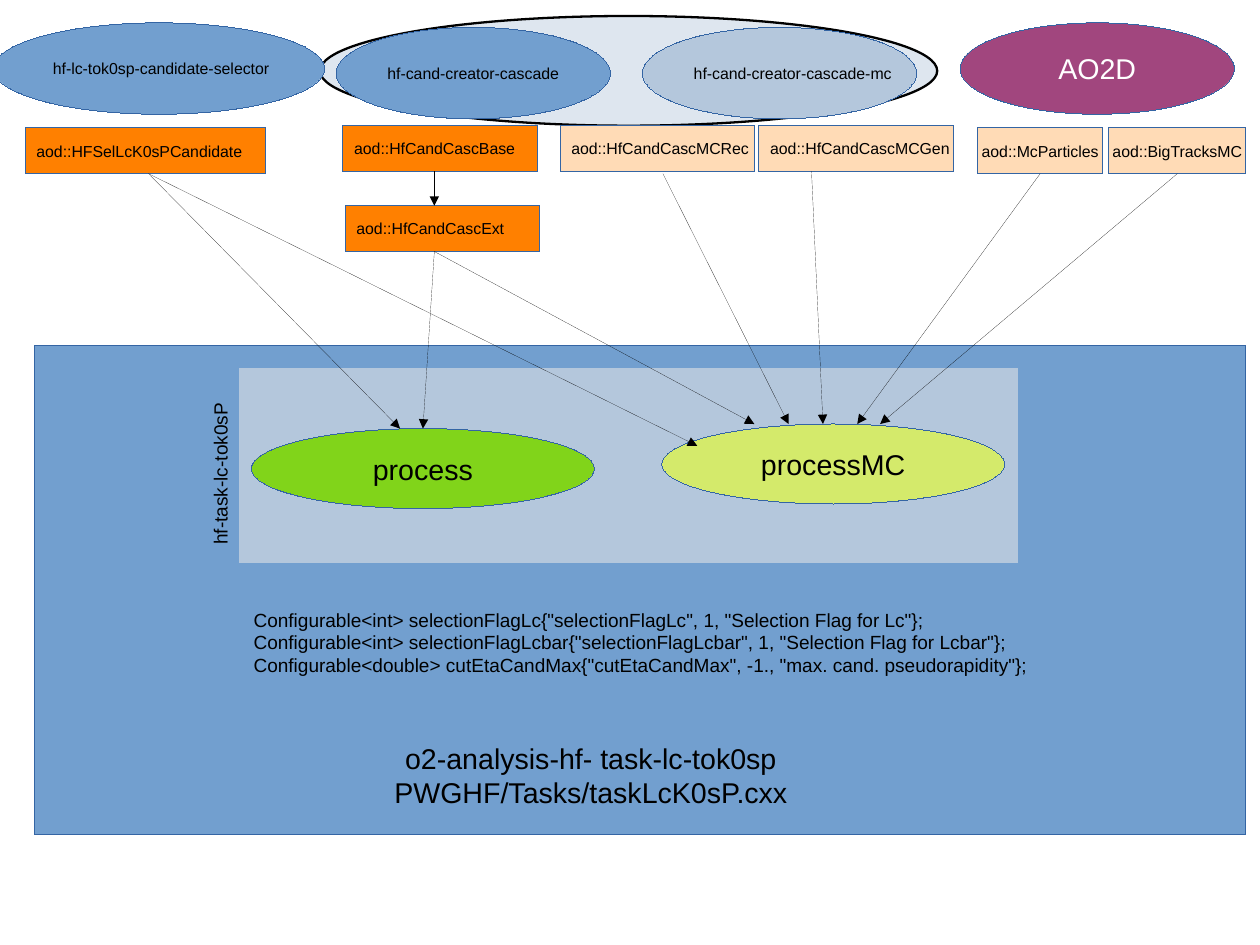
from pptx import Presentation
from pptx import util as u
from pptx.dml.color import RGBColor
from pptx.enum import shapes, text
from lxml import etree

THEME = {
    "font": "Arial",
    "small": 10, "body": 12, "large": 18,
    "black": "000000", "white": "FFFFFF", "outline": "3465A4",
    "blue": "729FCF", "mist": "DEE6EF", "steel": "B4C7DC",
    "orange": "FF8000", "peach": "FFDBB6", "plum": "A1467E",
    "green": "81D41A", "lime": "D4EA6B",
}
A = "{http://schemas.openxmlformats.org/drawingml/2006/main}"
RECT, OVAL = shapes.MSO_SHAPE.RECTANGLE, shapes.MSO_SHAPE.OVAL
LEFT, CENTER = text.PP_ALIGN.LEFT, text.PP_ALIGN.CENTER


def write(sp, lines, size, align, ink="black", wrap=False):
    tf = sp.text_frame
    tf.word_wrap = wrap
    tf.text = "\n".join(lines)
    for p in tf.paragraphs:
        p.alignment = align
        p.font.name = THEME["font"]
        p.font.size = u.Pt(THEME[size])
        p.font.color.rgb = RGBColor.from_string(THEME[ink])


def outline(sp, ink, width=0):
    sp.line.color.rgb = RGBColor.from_string(THEME[ink])
    ln = sp._element.spPr.find(A + "ln")
    ln.set("w", str(int(u.Pt(width))))
    return ln


prs = Presentation()
prs.slide_width, prs.slide_height = u.Inches(28 / 2.54), u.Inches(21 / 2.54)
s = prs.slides.add_slide(prs.slide_layouts[6])

nodes = [
    (OVAL, 2.8, 0.14, 5.4, 0.96, "mist", "black", 1.45, "", "small", LEFT, "black"),
    (RECT, 0.3, 3.02, 10.6, 4.28, "blue", "outline", 0, "", "small", LEFT, "black"),
    (RECT, 2.1, 3.22, 6.8, 1.7, "steel", "steel", 0, "", "small", LEFT, "black"),
]
for x, y, w, fill, label, size, align, ink in [
    (-0.06, 0.2, 2.9, "blue", "hf-lc-tok0sp-candidate-selector", "small", LEFT, "black"),
    (2.94, 0.24, 2.4, "blue", "hf-cand-creator-cascade", "small", LEFT, "black"),
    (5.62, 0.24, 2.4, "steel", "hf-cand-creator-cascade-mc", "small", LEFT, "black"),
    (8.4, 0.2, 2.4, "plum", "AO2D", "large", CENTER, "white"),
]:
    nodes.append((OVAL, x, y, w, 0.8, fill, "outline", 0, label, size, align, ink))
for x, y, w, fill, label, align in [
    (0.22, 1.12, 2.1, "orange", "aod::HFSelLcK0sPCandidate", LEFT),
    (3, 1.1, 1.7, "orange", "aod::HfCandCascBase", LEFT),
    (3.02, 1.8, 1.7, "orange", "aod::HfCandCascExt", LEFT),
    (4.9, 1.1, 1.7, "peach", "aod::HfCandCascMCRec", LEFT),
    (6.64, 1.1, 1.7, "peach", "aod::HfCandCascMCGen", LEFT),
    (8.55, 1.12, 1.1, "peach", "aod::McParticles", CENTER),
    (9.7, 1.12, 1.2, "peach", "aod::BigTracksMC", CENTER),
]:
    nodes.append((RECT, x, y, w, 0.4, fill, "outline", 0, label, "small", align, "black"))
for x, y, fill, label in [
    (2.2, 3.75, "green", "process"),
    (5.79, 3.71, "lime", "processMC"),
]:
    nodes.append((OVAL, x, y, 3, 0.7, fill, "outline", 0, label, "large", CENTER, "black"))

named = {}
for kind, x, y, w, h, fill, line, width, label, size, align, ink in nodes:
    sp = s.shapes.add_shape(kind, u.Inches(x), u.Inches(y), u.Inches(w), u.Inches(h))
    sp.shadow.inherit = False
    sp.fill.solid()
    sp.fill.fore_color.rgb = RGBColor.from_string(THEME[fill])
    outline(sp, line, width)
    if label:
        sp.text_frame.vertical_anchor = text.MSO_ANCHOR.MIDDLE
        write(sp, [label], size, align, ink)
        named[label] = sp

for x1, y1, x2, y2, source, target in [
    (1.3, 1.52, 3.5, 3.75, None, None),
    (3.8, 1.5, 3.8, 1.8, None, None),
    (3.8, 2.2, 3.7, 3.75, None, "process"),
    (1.3, 1.52, 6.1, 3.9, None, None),
    (3.8, 2.2, 6.6, 3.71, None, None),
    (5.8, 1.52, 6.9, 3.71, None, None),
    (7.1, 1.5, 7.2, 3.71, None, None),
    (9.1, 1.52, 7.5, 3.71, "aod::McParticles", None),
    (10.3, 1.52, 7.7, 3.71, "aod::BigTracksMC", None),
]:
    arrow = s.shapes.add_connector(
        shapes.MSO_CONNECTOR.STRAIGHT,
        u.Inches(x1), u.Inches(y1), u.Inches(x2), u.Inches(y2))
    if source:
        arrow.begin_connect(named[source], 2)
    if target:
        arrow.end_connect(named[target], 0)
    etree.SubElement(outline(arrow, "black"), A + "tailEnd", type="triangle")
    etree.SubElement(arrow._element.spPr, A + "effectLst")

for x, y, w, h, turn, size, align, wrap, lines in [
    (1.2, 4, 1.44, 0.29, 270, "body", LEFT, False, ["hf-task-lc-tok0sP"]),
    (3.35, 6.43, 3.64, 0.66, 0, "large", CENTER, True,
     ["o2-analysis-hf- task-lc-tok0sp", "PWGHF/Tasks/taskLcK0sP.cxx"]),
    (2.12, 5.27, 6.99, 0.85, 0, "body", LEFT, False, [
        'Configurable<int> selectionFlagLc{"selectionFlagLc", 1, "Selection Flag for Lc"};',
        'Configurable<int> selectionFlagLcbar{"selectionFlagLcbar", 1, "Selection Flag for Lcbar"};',
        'Configurable<double> cutEtaCandMax{"cutEtaCandMax", -1., "max. cand. pseudorapidity"};',
    ]),
]:
    tb = s.shapes.add_textbox(u.Inches(x), u.Inches(y), u.Inches(w), u.Inches(h))
    tb.rotation = turn
    tb.text_frame.auto_size = text.MSO_AUTO_SIZE.SHAPE_TO_FIT_TEXT
    write(tb, lines, size, align, wrap=wrap)

prs.save("out.pptx")
